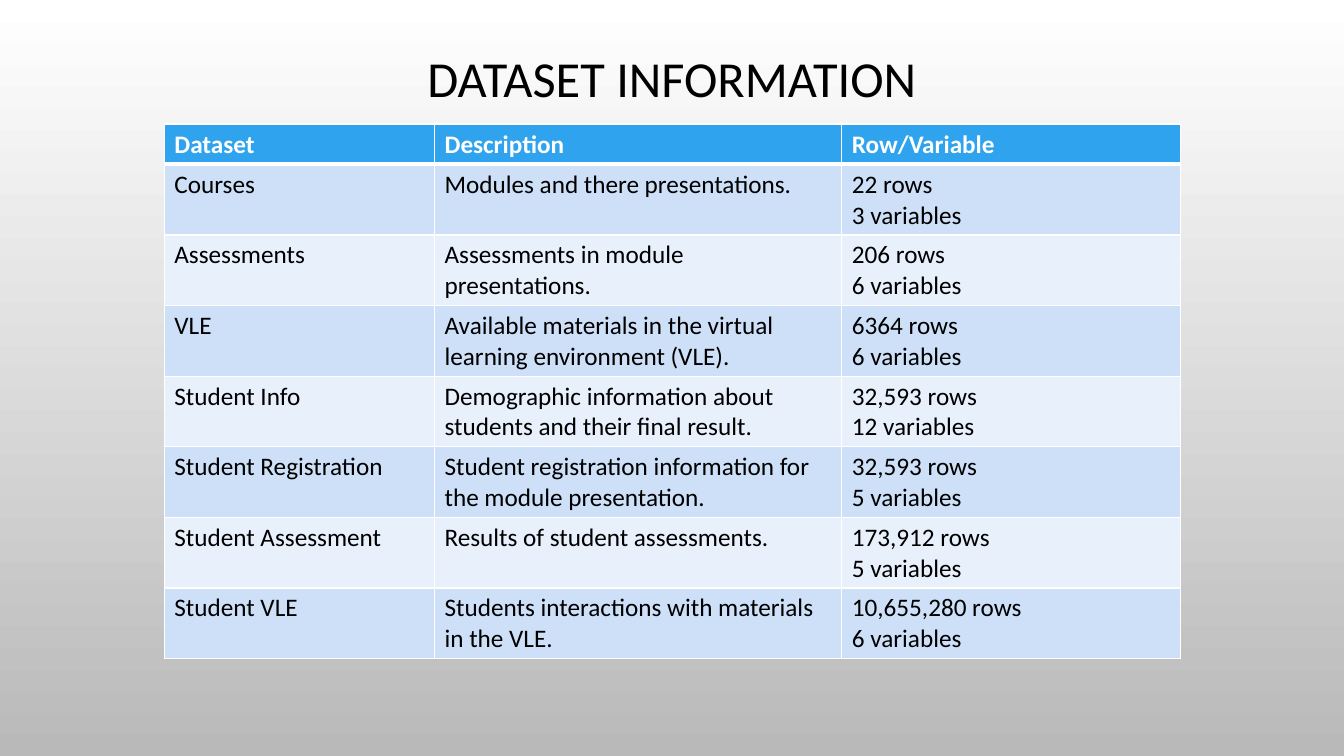
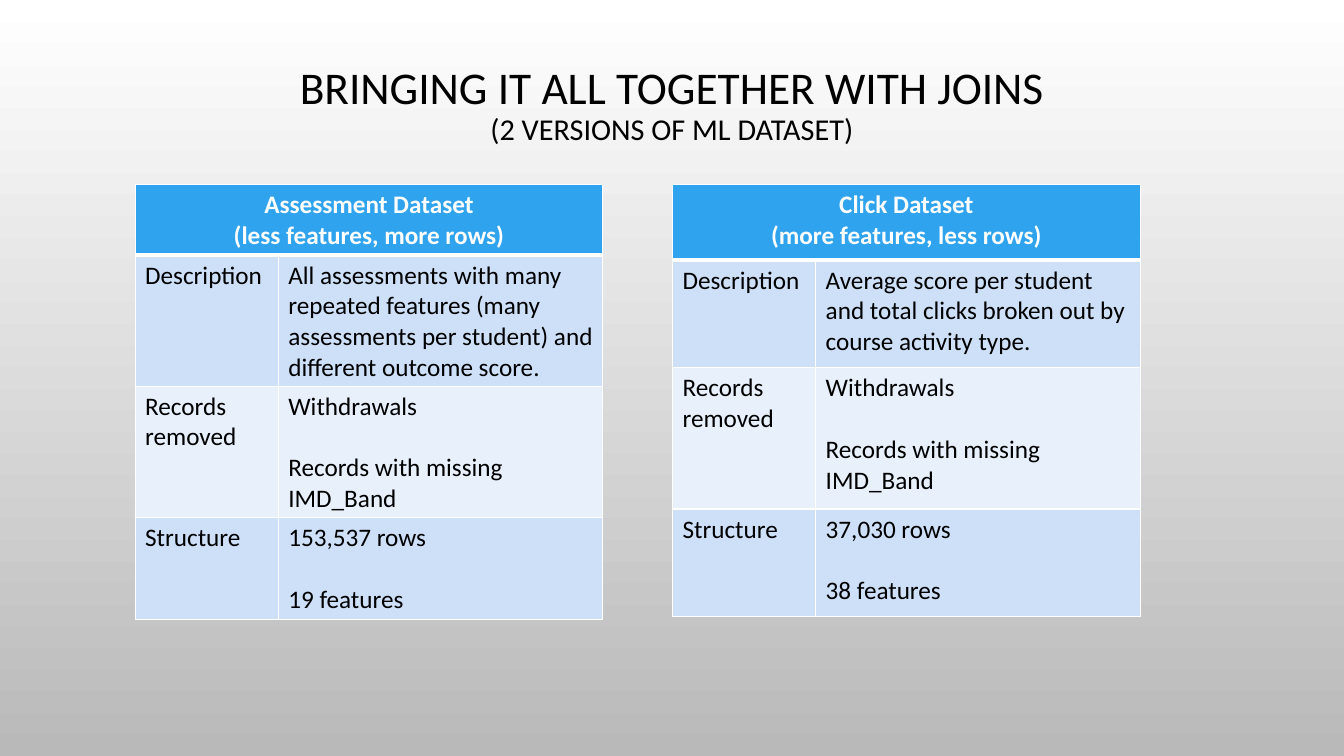
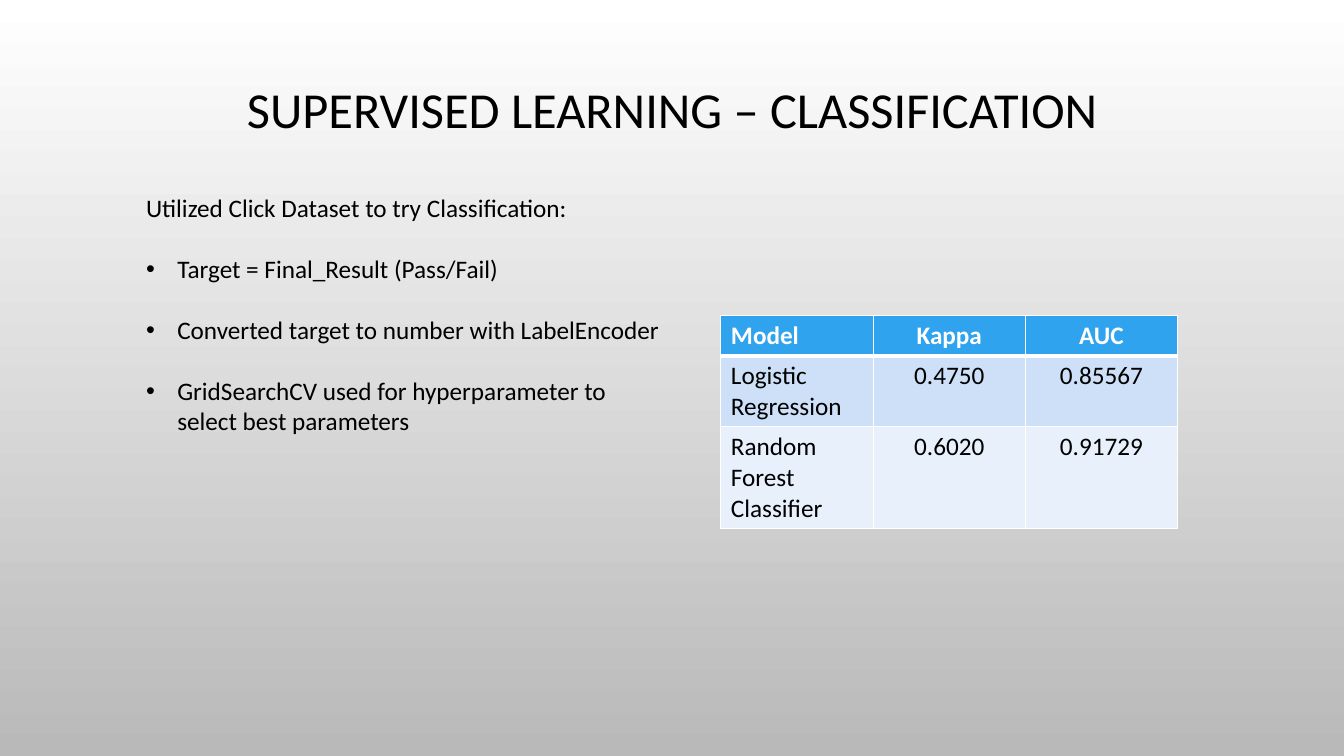
from lxml import etree
from pptx import Presentation
from pptx.dml.color import RGBColor
from pptx.enum.text import MSO_ANCHOR, MSO_AUTO_SIZE, PP_ALIGN
from pptx.oxml.ns import qn
from pptx.util import Inches, Pt

LEFT, CENTER = PP_ALIGN.LEFT, PP_ALIGN.CENTER
MIDDLE, GROW = MSO_ANCHOR.MIDDLE, MSO_AUTO_SIZE.SHAPE_TO_FIT_TEXT
COLORS = {
    "text": "000000",
    "white": "FFFFFF",
    "backdrop": "B9B9B9",
    "header": "2FA3EE",
    "band_dark": "CDE0F8",
    "band_light": "E8F0FC",
}
BLANK_LAYOUT = 6
BODY_SIZE = 18
LINE_GAP = 22
THIN, THICK = 1, 3


def rgb(name):
    """Return the named palette colour."""
    return RGBColor.from_string(COLORS[name])


def apply(target, values):
    """Set every attribute in a dict of format values."""
    for attribute, value in values.items():
        setattr(target, attribute, value)


class Deck:
    """Holds the presentation, its shared style and the current slide."""

    def __init__(self):
        """Start an empty widescreen presentation."""
        self.presentation = Presentation()
        apply(self.presentation,
              {"slide_width": Inches(13.33), "slide_height": Inches(7.5)})
        self.slide = None

    def new_slide(self):
        """Add a slide with the white to grey backdrop."""
        layout = self.presentation.slide_layouts[BLANK_LAYOUT]
        self.slide = self.presentation.slides.add_slide(layout)
        fill = self.slide.background.fill
        fill.gradient()
        fill.gradient_angle = 270
        for stop, name in zip(fill.gradient_stops, ("white", "backdrop")):
            stop.color.rgb = rgb(name)

    def add_text(self, paragraph, text, size=BODY_SIZE, color="text",
                 bold=False):
        """Add one formatted run to a paragraph."""
        run = paragraph.add_run()
        run.text = text
        apply(run.font, {"name": "Calibri", "size": Pt(size), "bold": bold})
        run.font.color.rgb = rgb(color)

    def fill_lines(self, frame, lines, align=LEFT, gap=0, **font):
        """Add one paragraph per line, with an equal gap between them."""
        for index, line in enumerate(lines):
            paragraph = frame.add_paragraph() if index else frame.paragraphs[0]
            apply(paragraph, {"alignment": align,
                              "space_before": Pt(gap if index else 0)})
            self.add_text(paragraph, line, **font)

    def text_frame(self, left, top, width, height):
        """Add a wrapping text box and return its frame."""
        box = self.slide.shapes.add_textbox(
            Inches(left), Inches(top), Inches(width), Inches(height))
        box.text_frame.word_wrap = True
        return box.text_frame

    def title(self, text, top, left=1, width=11.33, size=36, subtitle=None):
        """Add a centred title, with an optional smaller second line."""
        frame = self.text_frame(left, top, width, 0.66)
        frame.vertical_anchor = MIDDLE
        heading = frame.paragraphs[0]
        apply(heading, {"alignment": CENTER, "line_spacing": 0.9})
        self.add_text(heading, text, size)
        if subtitle:
            heading.add_line_break()
            self.add_text(heading, subtitle, 21.6)

    def bullets(self, intro, points, left, top, width, height):
        """Add an introduction followed by bulleted points."""
        frame = self.text_frame(left, top, width, height)
        frame.auto_size = GROW
        self.fill_lines(frame, [intro, *points], gap=LINE_GAP)
        for point in frame.paragraphs[1:]:
            properties = point._p.get_or_add_pPr()
            properties.set("marL", str(Inches(0.31)))
            properties.set("indent", str(-Inches(0.31)))
            font = etree.SubElement(properties, qn("a:buFont"))
            font.set("typeface", "Arial")
            etree.SubElement(properties, qn("a:buChar")).set("char", "•")

    def borders(self, cell, top, bottom):
        """Draw white cell borders, with given top and bottom widths."""
        properties = cell._tc.get_or_add_tcPr()
        widths = {"lnL": THIN, "lnR": THIN, "lnT": top, "lnB": bottom}
        for position, (side, width) in enumerate(widths.items()):
            line = etree.Element(qn(f"a:{side}"), w=str(Pt(width)))
            fill = etree.SubElement(line, qn("a:solidFill"))
            etree.SubElement(fill, qn("a:srgbClr")).set("val", COLORS["white"])
            properties.insert(position, line)

    def table(self, left, top, widths, heights, rows, aligns, gap=0):
        """Add a banded table; a one-cell header spans all columns."""
        grid = self.slide.shapes.add_table(
            len(heights), len(widths), Inches(left), Inches(top),
            Inches(sum(widths)), Inches(sum(heights))).table
        for column, width in zip(grid.columns, widths):
            column.width = Inches(width)
        for row, height in zip(grid.rows, heights):
            row.height = Inches(height)
        spanning = len(rows[0]) == 1
        if spanning:
            grid.cell(0, 0).merge(grid.cell(0, len(widths) - 1))
        for r, texts in enumerate(rows):
            header = r == 0
            band = "header" if header else ("band_light", "band_dark")[r % 2]
            font = {"color": "white" if header else "text", "bold": header}
            for c in range(len(widths)):
                cell = grid.cell(r, c)
                cell.fill.solid()
                cell.fill.fore_color.rgb = rgb(band)
                self.borders(cell, THICK if r == 1 else THIN,
                             THICK if header else THIN)
                if c < len(texts):
                    self.fill_lines(
                        cell.text_frame, texts[c].split("\n"),
                        CENTER if header and spanning else aligns[c],
                        0 if header else gap, **font)


def dataset_slide(deck):
    """List the source datasets and their sizes."""
    deck.new_slide()
    deck.title("DATASET INFORMATION", top=0.48)
    datasets = [
        ("Courses", "Modules and there presentations.", "22", 3),
        ("Assessments", "Assessments in module presentations.", "206", 6),
        ("VLE", "Available materials in the virtual learning environment (VLE).",
         "6364", 6),
        ("Student Info",
         "Demographic information about students and their final result.",
         "32,593", 12),
        ("Student Registration",
         "Student registration information for the module presentation.",
         "32,593", 5),
        ("Student Assessment", "Results of student assessments.", "173,912", 5),
        ("Student VLE", "Students interactions with materials in the VLE.",
         "10,655,280", 6),
    ]
    rows = [("Dataset", "Description", "Row/Variable")]
    rows += [(name, description, f"{count} rows\n{variables} variables")
             for name, description, count, variables in datasets]
    deck.table(1.63, 1.23, (2.68, 4.04, 3.36), [0.4] + [0.7] * len(datasets),
               rows, [LEFT] * 3)


def joins_slide(deck):
    """Compare the two joined datasets side by side."""
    deck.new_slide()
    deck.title("BRINGING IT ALL TOGETHER WITH JOINS", top=0.72, size=32.4,
               subtitle="(2 VERSIONS OF ML DATASET)")
    versions = [
        (1.34, (0.7, 1.3, 1.3, 1),
         "Assessment Dataset\n(less features, more rows)",
         "All assessments with many repeated features (many assessments "
         "per student) and different outcome score.",
         "153,537 rows\n19 features"),
        (6.67, (0.75, 1.07, 1.4, 1.07),
         "Click Dataset\n(more features, less rows)",
         "Average score per student and total clicks broken out by "
         "course activity type.",
         "37,030 rows\n38 features"),
    ]
    for left, heights, header, description, structure in versions:
        rows = [
            (header,),
            ("Description", description),
            ("Records removed", "Withdrawals\nRecords with missing IMD_Band"),
            ("Structure", structure),
        ]
        deck.table(left, 1.83, (1.42, 3.22), heights, rows, [LEFT] * 2,
                   gap=LINE_GAP)


def classification_slide(deck):
    """Show the classification approach and model scores."""
    deck.new_slide()
    deck.title("SUPERVISED LEARNING – CLASSIFICATION", top=0.78, left=2.02,
               width=9.3)
    deck.bullets(
        "Utilized Click Dataset to try Classification:",
        ["Target = Final_Result (Pass/Fail)",
         "Converted target to number with LabelEncoder",
         "GridSearchCV used for hyperparameter to select best parameters"],
        1.35, 1.86, 5.31, 2.52)
    scores = [
        ("Model", "Kappa", "AUC"),
        ("Logistic Regression", "0.4750", "0.85567"),
        ("Random Forest Classifier", "0.6020", "0.91729"),
    ]
    deck.table(7.15, 3.13, [1.51] * 3, (0.4, 0.7, 1.01), scores,
               (LEFT, CENTER, CENTER))


def main():
    """Build the slides and save them."""
    deck = Deck()
    for build in (dataset_slide, joins_slide, classification_slide):
        build(deck)
    deck.presentation.save("out.pptx")


main()
